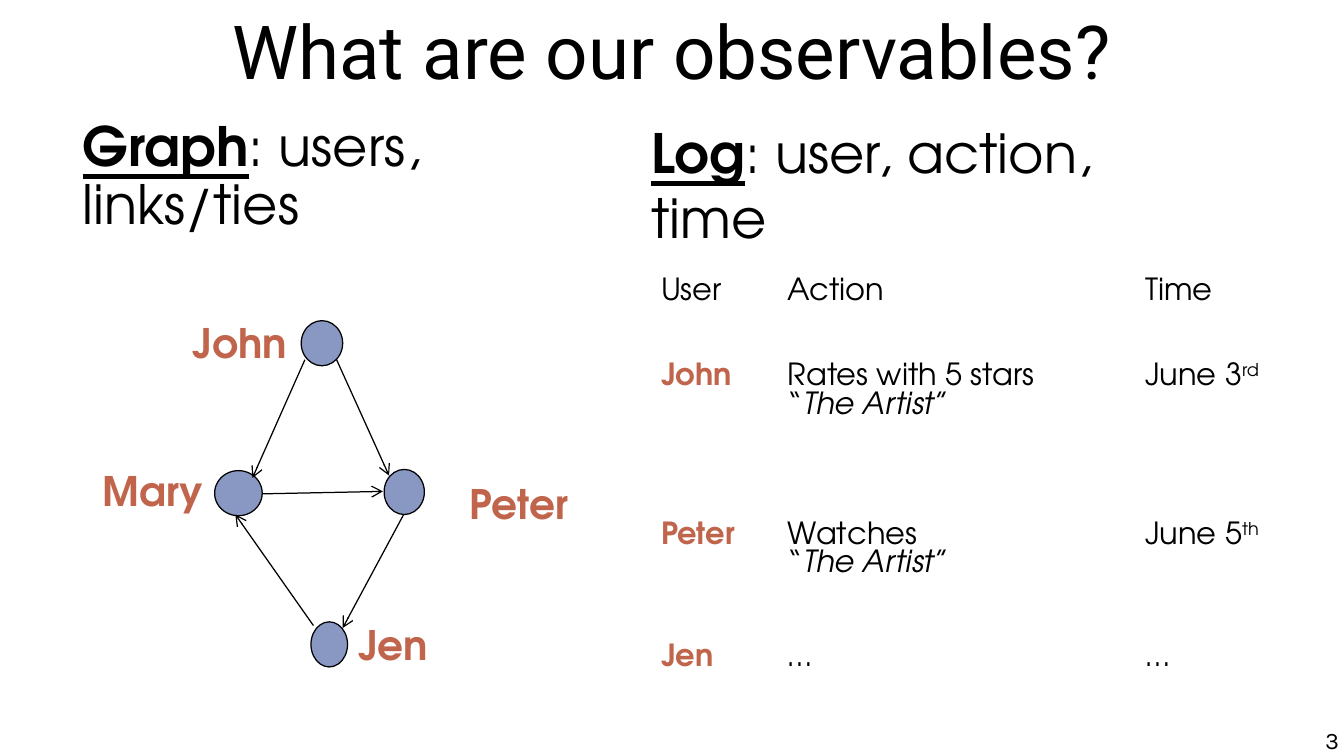
import pptx
import pptx.dml.color
import pptx.enum.shapes
import pptx.enum.text
import pptx.oxml.ns
import pptx.util
from lxml import etree

Inches = pptx.util.Inches
Pt = pptx.util.Pt
RGBColor = pptx.dml.color.RGBColor
Align = pptx.enum.text.PP_ALIGN
Anchor = pptx.enum.text.MSO_ANCHOR
qn = pptx.oxml.ns.qn

BLACK = RGBColor(0x00, 0x00, 0x00)
WHITE = RGBColor(0xFF, 0xFF, 0xFF)
NODE_BLUE = RGBColor(0x88, 0x98, 0xC3)
NAME_RED = RGBColor(0xC0, 0x65, 0x4C)
BODY_FONT = "TeX Gyre Adventor"

# Each person: node box, then left, top and width of the name
PEOPLE = {
    "John": ((2.47, 2.63, 0.34, 0.37), (1.46, 2.53, 1.01)),
    "Peter": ((3.15, 3.85, 0.33, 0.37), (3.61, 3.85, 1.29)),
    "Jen": ((2.55, 5.1, 0.3, 0.37), (2.72, 5, 1.01)),
    "Mary": ((1.76, 3.86, 0.39, 0.37), (0.75, 3.74, 1.01)),
}
TIES = [
    (2.76, 2.95, 3.19, 3.9),
    (2.5, 2.95, 2.07, 3.92),
    (2.15, 4.05, 3.14, 4.03),
    (3.31, 4.22, 2.81, 5.15),
    (2.57, 5.13, 1.93, 4.22),
]

# A cell is a list of paragraphs, a paragraph a list of (text, format) runs
FILM = [("“", {}), ("The Artist", {"italic": True}), ("”", {})]
COLUMN_WIDTHS = [1.04, 2.93, 1.51]
ROW_HEIGHTS = [0.7, 1.3, 1, 0.82]


def plain(text):
    return [[(text, {})]]


def person(name):
    return [[(name, {"bold": True, "color": NAME_RED})]]


def date(day, suffix):
    return [[(day, {}), (suffix, {"superscript": True})]]


LOG = [
    [plain("User"), plain("Action"), plain("Time")],
    [person("John"), [[("Rates with 5 stars", {})], FILM], date("June 3", "rd")],
    [person("Peter"), [[("Watches", {})], FILM], date("June 5", "th")],
    [person("Jen"), plain("…"), plain("…")],
]


def add_run(paragraph, text, *, size, font=BODY_FONT, color=BLACK, bold=False,
            italic=False, underline=False, superscript=False):
    run = paragraph.add_run()
    run.text = text
    run.font.name = font
    run.font.size = Pt(size)
    run.font.color.rgb = color
    run.font.bold = bold
    run.font.italic = italic
    run.font.underline = underline
    if superscript:
        run._r.get_or_add_rPr().set("baseline", "30000")


def set_up_frame(frame, anchor=Anchor.TOP, side=0, end=0):
    frame.word_wrap = True
    frame.vertical_anchor = anchor
    frame.margin_left = frame.margin_right = Inches(side)
    frame.margin_top = frame.margin_bottom = Inches(end)


def add_text_box(slide, box, align=Align.LEFT, **frame_format):
    shape = slide.shapes.add_textbox(*map(Inches, box))
    set_up_frame(shape.text_frame, **frame_format)
    paragraph = shape.text_frame.paragraphs[0]
    paragraph.alignment = align
    return paragraph


def add_title(slide, text):
    title = slide.shapes.title
    title.left, title.top, title.width, title.height = map(Inches, (0.55, -0.02, 9.92, 0.86))
    set_up_frame(title.text_frame, anchor=Anchor.MIDDLE)
    paragraph = title.text_frame.paragraphs[0]
    paragraph.alignment = Align.CENTER
    add_run(paragraph, text, size=44, font="Roboto")


def add_heading(slide, box, term, explanation, line_spacing):
    paragraph = add_text_box(slide, box, side=0.1, end=0.05)
    paragraph.line_spacing = line_spacing
    properties = paragraph._p.get_or_add_pPr()
    properties.set("marL", str(Inches(0.09)))
    properties.set("indent", "0")
    add_run(paragraph, term, size=32, bold=True, underline=True)
    add_run(paragraph, explanation, size=32)


def add_node(slide, box):
    node = slide.shapes.add_shape(pptx.enum.shapes.MSO_SHAPE.OVAL, *map(Inches, box))
    node.shadow.inherit = False
    node.fill.solid()
    node.fill.fore_color.rgb = NODE_BLUE
    node.line.color.rgb = BLACK
    node.line.width = Pt(0.75)


def add_arrow(slide, ends):
    arrow = slide.shapes.add_connector(
        pptx.enum.shapes.MSO_CONNECTOR.STRAIGHT, *map(Inches, ends))
    arrow.line.color.rgb = BLACK
    arrow.line.width = Pt(0.75)
    properties = arrow._element.spPr
    etree.SubElement(properties.find(qn("a:ln")), qn("a:tailEnd"), type="arrow")
    etree.SubElement(properties, qn("a:effectLst"))


def add_name(slide, name, left, top, width):
    paragraph = add_text_box(slide, (left, top, width, 0.56), align=Align.CENTER,
                             anchor=Anchor.MIDDLE)
    add_run(paragraph, name, size=24, bold=True, color=NAME_RED)


def fill_cell(cell, paragraphs):
    cell.fill.solid()
    cell.fill.fore_color.rgb = WHITE
    frame = cell.text_frame
    for index, runs in enumerate(paragraphs):
        paragraph = frame.add_paragraph() if index else frame.paragraphs[0]
        for text, text_format in runs:
            add_run(paragraph, text, size=18, **text_format)


def add_log_table(slide):
    table = slide.shapes.add_table(
        len(LOG), len(COLUMN_WIDTHS), Inches(5.32), Inches(2.23),
        Inches(sum(COLUMN_WIDTHS)), Inches(sum(ROW_HEIGHTS))).table
    table.first_row = table.horz_banding = False
    for column, width in zip(table.columns, COLUMN_WIDTHS):
        column.width = Inches(width)
    for row, height, contents in zip(table.rows, ROW_HEIGHTS, LOG):
        row.height = Inches(height)
        for cell, paragraphs in zip(row.cells, contents):
            fill_cell(cell, paragraphs)


def main():
    presentation = pptx.Presentation()
    presentation.slide_width = Inches(11.02)
    presentation.slide_height = Inches(6.2)
    slide = presentation.slides.add_slide(presentation.slide_layouts.get_by_name("Title Only"))

    # Title and headings
    add_title(slide, "What are our observables?")
    add_heading(slide, (0.49, 0.93, 4.49, 1.08), "Graph", ": users, links/ties", 0.9)
    add_heading(slide, (5.15, 0.93, 4.77, 1.25), "Log", ": user, action, time", 1.0)

    # Graph of users
    for node_box, _ in PEOPLE.values():
        add_node(slide, node_box)
    for ends in TIES:
        add_arrow(slide, ends)
    for name, (_, place) in PEOPLE.items():
        add_name(slide, name, *place)

    # Log of actions
    add_log_table(slide)

    # Slide number
    number = add_text_box(slide, (8.41, 5.95, 2.57, 0.25), align=Align.RIGHT)
    add_run(number, "3", size=14, font="Karla")

    presentation.save("out.pptx")


if __name__ == "__main__":
    main()
